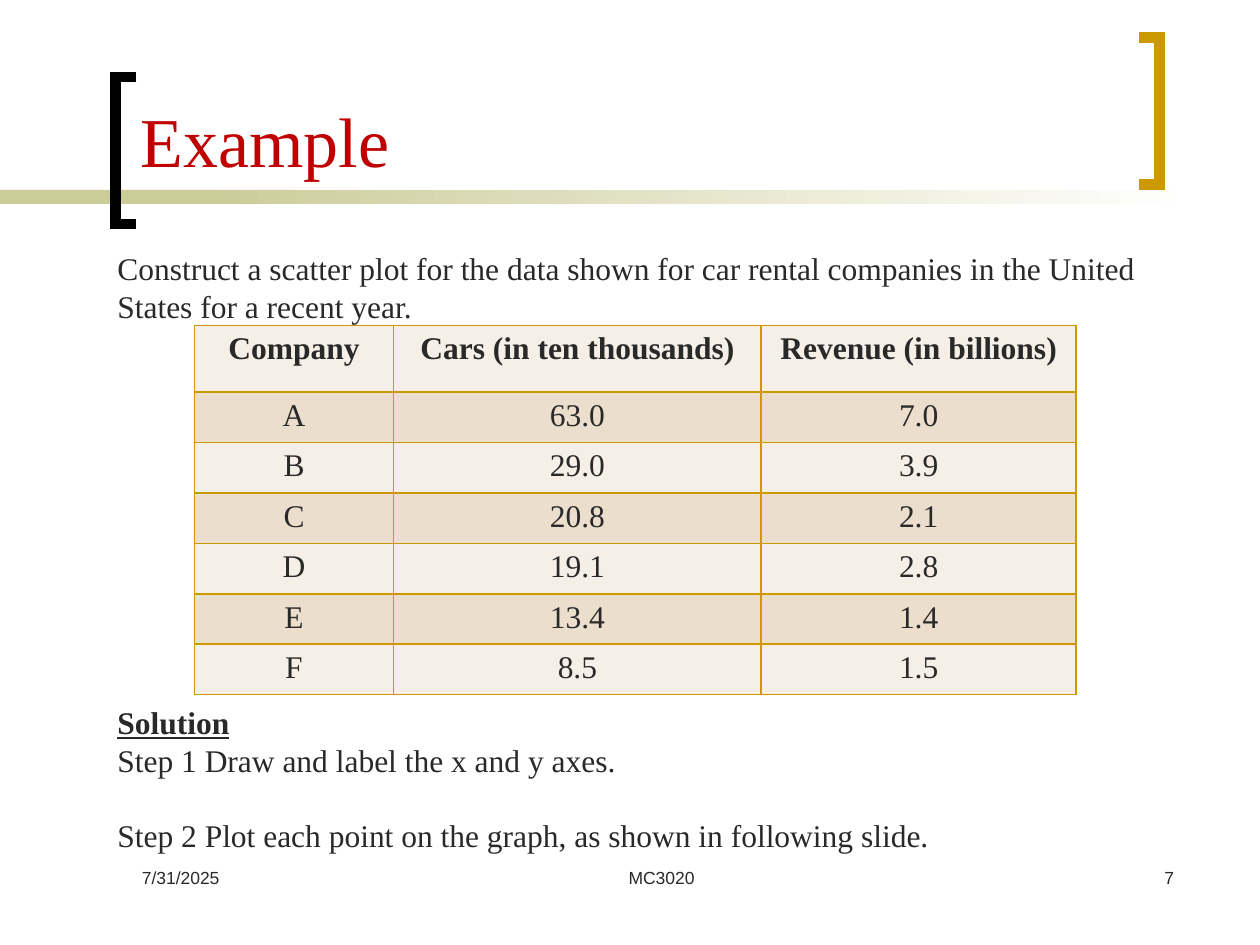
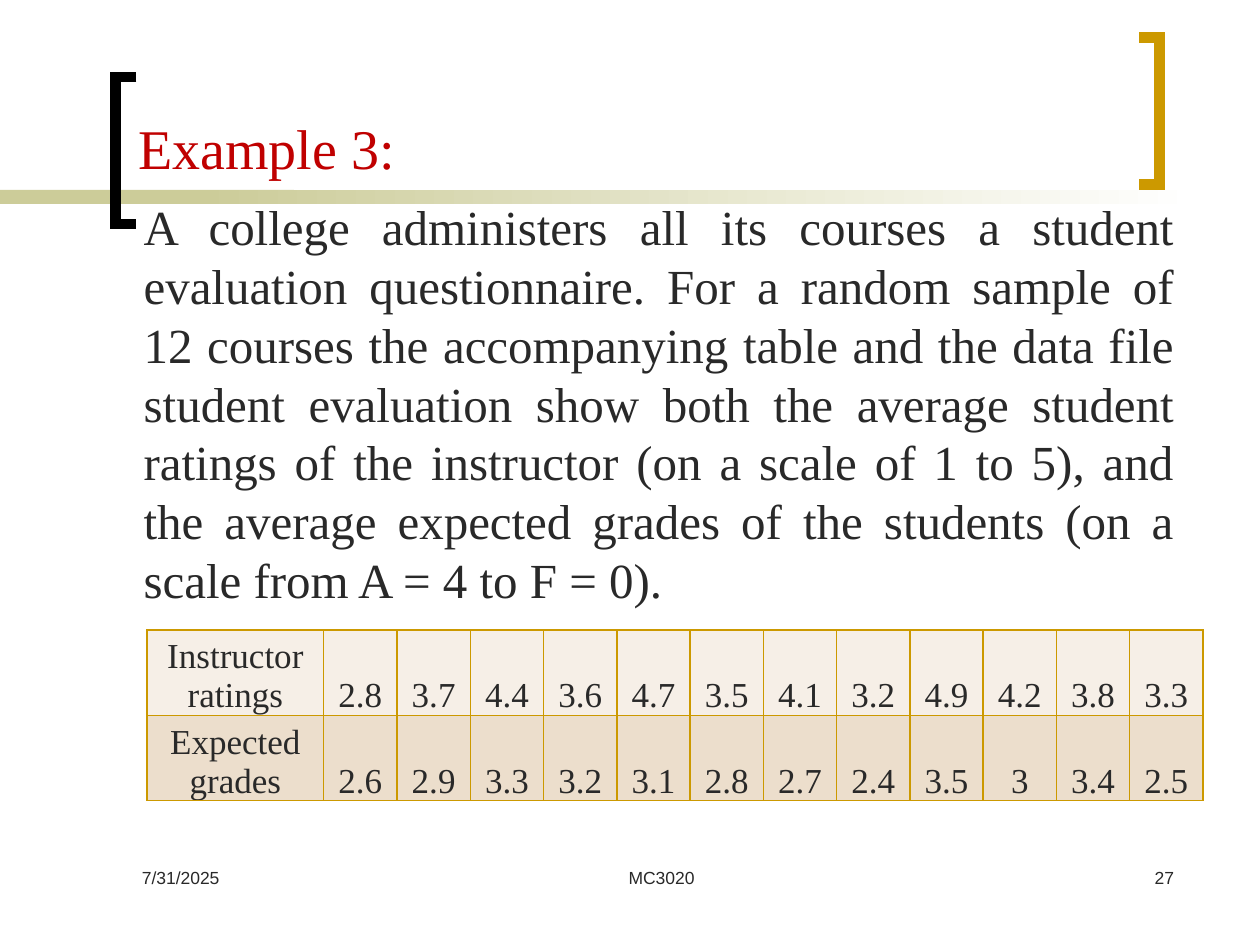
import pptx
import pptx.dml.color
import pptx.enum.shapes
import pptx.enum.text
import pptx.oxml
import pptx.oxml.ns
import pptx.util

Pt = pptx.util.Pt
RGB = pptx.dml.color.RGBColor
ALIGN = pptx.enum.text.PP_ALIGN
ANCHOR = pptx.enum.text.MSO_ANCHOR

INK = RGB(0x29, 0x29, 0x29)
RED = RGB(0xC0, 0x00, 0x00)
BLACK = RGB(0x00, 0x00, 0x00)
WHITE = RGB(0xFF, 0xFF, 0xFF)
GOLD = RGB(0xCC, 0x99, 0x00)
OLIVE = RGB(0xCC, 0xCC, 0x99)
ROW_FILLS = RGB(0xF6, 0xEF, 0xE7), RGB(0xEC, 0xDE, 0xCC)
SERIF = "Times New Roman"
SANS = "Arial"


class Deck:
    def __init__(self):
        self.prs = pptx.Presentation()
        self.prs.slide_width, self.prs.slide_height = Pt(720), Pt(540)
        self.s = None

    def slide(self, number):
        self.s = self.prs.slides.add_slide(self.prs.slide_layouts[6])
        self.band(0, 168, OLIVE)
        self.band(114, 570, OLIVE, WHITE)
        self.bracket(78, 66, 44, BLACK)
        self.bracket(651, 662.5, 21.5, GOLD)
        self.footer(74, 150, "7/31/2025", ALIGN.LEFT)
        self.footer(264, 228, "MC3020", ALIGN.CENTER)
        self.footer(528, 150, number, ALIGN.RIGHT)

    def band(self, x, w, color, end=None):
        sp = self.s.shapes.add_shape(
            pptx.enum.shapes.MSO_SHAPE.RECTANGLE, Pt(x), Pt(108.5), Pt(w), Pt(8))
        sp.shadow.inherit = False
        sp.line.fill.background()
        if end is None:
            sp.fill.solid()
            sp.fill.fore_color.rgb = color
        else:
            sp.fill.gradient()
            sp.fill.gradient_angle = 0
            for stop, rgb in zip(sp.fill.gradient_stops, (color, end)):
                stop.color.rgb = rgb

    def bracket(self, tip, spine, top, color):
        bottom = top + 84
        points = [(Pt(x), Pt(y)) for x, y in
                  ((tip, top), (spine, top), (spine, bottom), (tip, bottom))]
        fb = self.s.shapes.build_freeform(*points[0])
        fb.add_line_segments(points[1:], close=False)
        sp = fb.convert_to_shape()
        sp.shadow.inherit = False
        sp.fill.background()
        sp.line.color.rgb = color
        sp.line.width = Pt(6)
        miter = pptx.oxml.parse_xml(
            f'<a:miter {pptx.oxml.ns.nsdecls("a")} lim="800000"/>')
        sp.line._get_or_add_ln().append(miter)

    def paragraph(self, p, text, font, **fmt):
        r = p.add_run()
        r.text = text
        for name, value in {"name": SERIF, **font}.items():
            if name == "color":
                r.font.color.rgb = value
            else:
                setattr(r.font, name, value)
        for name, value in fmt.items():
            setattr(p, name, value)

    def text(self, x, y, w, h, paragraphs, anchor=ANCHOR.TOP):
        tf = self.s.shapes.add_textbox(Pt(x), Pt(y), Pt(w), Pt(h)).text_frame
        tf.word_wrap = True
        tf.vertical_anchor = anchor
        for i, (text, font, fmt) in enumerate(paragraphs):
            p = tf.add_paragraph() if i else tf.paragraphs[0]
            self.paragraph(p, text, font, **fmt)

    def title(self, x, text, size):
        font = {"size": Pt(size), "color": RED}
        self.text(x, 58, 560, 49, [(text, font, {})], ANCHOR.BOTTOM)

    def footer(self, x, w, text, align):
        font = {"name": SANS, "size": Pt(10), "color": INK}
        self.text(x, 492, w, 36, [(text, font, {"alignment": align})])

    def borders(self, cell):
        tcPr = cell._tc.get_or_add_tcPr()
        for side in "LRTB":
            tcPr.append(pptx.oxml.parse_xml(
                f'<a:ln{side} {pptx.oxml.ns.nsdecls("a")} w="{Pt(1)}">'
                f'<a:solidFill><a:srgbClr val="{GOLD}"/></a:solidFill></a:ln{side}>'))

    def table(self, x, y, widths, heights, rows, size, bold_header=False, **cell_fmt):
        table = self.s.shapes.add_table(
            len(rows), len(widths), Pt(x), Pt(y),
            Pt(sum(widths)), Pt(sum(heights))).table
        table.first_row = table.horz_banding = False
        for column, w in zip(table.columns, widths):
            column.width = Pt(w)
        for i, (row, h, values) in enumerate(zip(table.rows, heights, rows)):
            row.height = Pt(h)
            font = {"size": Pt(size), "color": INK, "bold": bold_header and i == 0}
            for cell, value in zip(row.cells, values):
                self.borders(cell)
                cell.fill.solid()
                cell.fill.fore_color.rgb = ROW_FILLS[i % 2]
                for name, setting in cell_fmt.items():
                    setattr(cell, name, setting)
                self.paragraph(cell.text_frame.paragraphs[0], value, font,
                               alignment=ALIGN.CENTER)


def scatter_example(deck):
    deck.slide("7")
    deck.title(73.5, "Example", 40)
    line = 21.6
    font = {"size": Pt(18), "color": INK}
    heading = {**font, "bold": True, "underline": True}
    plain = {"line_spacing": Pt(line)}
    deck.text(60, 139, 606, 356, [
        ("Construct a scatter plot for the data shown for car rental companies in the United",
         font, plain),
        ("States for a recent year.", font, plain),
        ("Solution", heading, {**plain, "space_before": Pt(10 * line)}),
        ("Step 1 Draw and label the x and y axes.", font, plain),
        ("Step 2 Plot each point on the graph, as shown in following slide.",
         font, {**plain, "space_before": Pt(line)}),
    ])
    rows = [
        ("Company", "Cars (in ten thousands)", "Revenue (in billions)"),
        ("A", "63.0", "7.0"),
        ("B", "29.0", "3.9"),
        ("C", "20.8", "2.1"),
        ("D", "19.1", "2.8"),
        ("E", "13.4", "1.4"),
        ("F", "8.5", "1.5"),
    ]
    deck.table(111, 186, [114, 210, 180], [38] + [28.85] * 6, rows, 18,
               bold_header=True)


def ratings_example(deck):
    deck.slide("27")
    question = (
        "A college administers all its courses a student evaluation questionnaire. "
        "For a random sample of 12 courses the accompanying table and the data file "
        "student evaluation show both the average student ratings of the instructor "
        "(on a scale of 1 to 5), and the average expected grades of the students "
        "(on a scale from A = 4 to F = 0).")
    deck.text(75, 109, 603, 252, [
        (question, {"size": Pt(28), "color": INK},
         {"alignment": ALIGN.JUSTIFY, "line_spacing": Pt(33.6)})])
    deck.title(72, "Example 3:", 32)
    rows = [
        ["Instructor ratings", *"2.8 3.7 4.4 3.6 4.7 3.5 4.1 3.2 4.9 4.2 3.8 3.3".split()],
        ["Expected grades", *"2.6 2.9 3.3 3.2 3.1 2.8 2.7 2.4 3.5 3 3.4 2.5".split()],
    ]
    deck.table(84, 360, [101] + [41.88] * 12, [48.7] * 2, rows, 20,
               vertical_anchor=ANCHOR.BOTTOM, margin_left=Pt(0.75),
               margin_right=Pt(0.75), margin_top=Pt(0.75), margin_bottom=0)


def main():
    deck = Deck()
    scatter_example(deck)
    ratings_example(deck)
    deck.prs.save("out.pptx")


if __name__ == "__main__":
    main()
